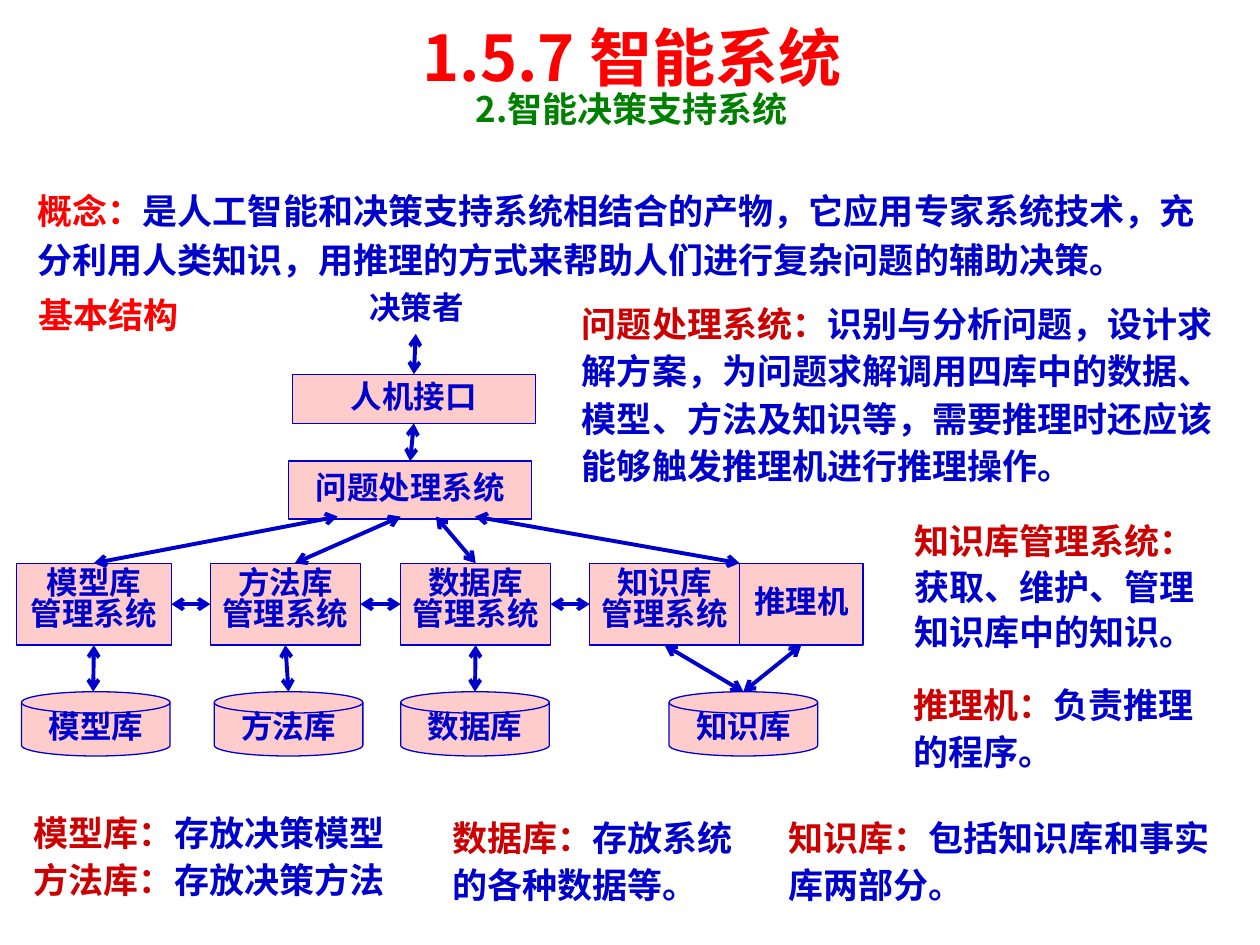
import pptx
import pptx.util
import pptx.dml.color
import pptx.enum.shapes
import pptx.enum.text
import pptx.oxml
import pptx.oxml.ns

Inches, Pt = pptx.util.Inches, pptx.util.Pt
RGBColor = pptx.dml.color.RGBColor
SHAPE = pptx.enum.shapes.MSO_SHAPE
ANCHOR = pptx.enum.text.MSO_ANCHOR
ALIGN = pptx.enum.text.PP_ALIGN
AUTO_SIZE = pptx.enum.text.MSO_AUTO_SIZE

RED = RGBColor(0xFF, 0x00, 0x00)
DARK_RED = RGBColor(0xCC, 0x00, 0x00)
BLUE = RGBColor(0x00, 0x00, 0xCC)
GREEN = RGBColor(0x00, 0x80, 0x00)
PINK = RGBColor(0xFF, 0xCC, 0xCC)

SANS = "Noto Sans CJK SC"
SERIF = "Times New Roman"
TIGHT = 0.83  # line spacing of text without a fixed pitch

# Rows and columns of the structure diagram, in inches
MANAGER_TOP, MANAGER_HEIGHT = 4.47, 0.65
MANAGER_BOTTOM = MANAGER_TOP + MANAGER_HEIGHT
STORE_TOP, STORE_WIDTH, STORE_HEIGHT = 5.49, 1.18, 0.51
SYSTEM_WIDTH, SYSTEM_BOTTOM = 1.93, 4.1
TOP, LEFT, BOTTOM, RIGHT = range(4)

# Name, left of manager, width of manager, left of store
LIBRARIES = [
    ("模型库", 0.13, 1.23, 0.17),
    ("方法库", 1.67, 1.19, 1.70),
    ("数据库", 3.18, 1.19, 3.18),
    ("知识库", 4.68, 1.19, 5.31),
]

# Left, top, width, height, line pitch, paragraphs of (term, explanation)
NOTES = [
    (4.52, 2.31, 5.28, 1.60, 27, [("问题处理系统：", "识别与分析问题，设计求解方案，为问题求解调用四库中的数据、模型、方法及知识等，需要推理时还应该能够触发推理机进行推理操作。")]),
    (7.16, 4.05, 2.64, 1.19, 26, [("知识库管理系统：", "获取、维护、管理知识库中的知识。")]),
    (7.15, 5.33, 2.64, 0.85, 27, [("推理机：", "负责推理的程序。")]),
    (6.16, 6.39, 3.64, 0.85, 27, [("知识库：", "包括知识库和事实库两部分。")]),
    (3.49, 6.39, 2.66, 0.85, 27, [("数据库：", "存放系统的各种数据等。")]),
    (0.17, 6.35, 3.08, 0.85, 27, [("模型库：", "存放决策模型"), ("方法库：", "存放决策方法")]),
]


def add_run(paragraph, text, size, color, name=SANS):
    run = paragraph.add_run()
    run.text = text
    run.font.size = Pt(size)
    run.font.bold = True
    run.font.color.rgb = color
    run.font.name = name
    east_asian = pptx.oxml.parse_xml(
        f'<a:ea {pptx.oxml.ns.nsdecls("a")} typeface="{SANS}"/>')
    run.font._element.find(pptx.oxml.ns.qn("a:latin")).addnext(east_asian)


def fill_frame(frame, paragraphs, spacing=TIGHT, align=None, wrap=True,
               anchor=ANCHOR.TOP):
    """Each paragraph is a list of argument tuples for add_run."""
    frame.word_wrap = wrap
    frame.vertical_anchor = anchor
    for index, runs in enumerate(paragraphs):
        paragraph = frame.add_paragraph() if index else frame.paragraphs[0]
        paragraph.alignment = align
        paragraph.line_spacing = spacing
        paragraph.space_before = Pt(0)
        for run in runs:
            add_run(paragraph, *run)


def add_text(slide, left, top, width, height, paragraphs, **format_options):
    box = slide.shapes.add_textbox(
        Inches(left), Inches(top), Inches(width), Inches(height))
    fill_frame(box.text_frame, paragraphs, **format_options)
    box.text_frame.auto_size = AUTO_SIZE.SHAPE_TO_FIT_TEXT


def add_node(slide, kind, left, top, width, height, *lines):
    node = slide.shapes.add_shape(
        kind, Inches(left), Inches(top), Inches(width), Inches(height))
    node.shadow.inherit = False
    node.fill.solid()
    node.fill.fore_color.rgb = PINK
    node.line.color.rgb = BLUE
    node.line.width = Pt(0.75)
    fill_frame(node.text_frame, [[(line, 18, BLUE)] for line in lines],
               align=ALIGN.CENTER, wrap=False,
               anchor=ANCHOR.TOP if len(lines) > 1 else ANCHOR.MIDDLE)
    return node


def add_arrow(slide, start, end):
    """Double arrow; an end is a point (x, y) or a joint (node, side)."""
    def is_joint(place):
        return hasattr(place[0], "shape_id")

    points = [(0, 0) if is_joint(place) else place for place in (start, end)]
    arrow = slide.shapes.add_connector(
        pptx.enum.shapes.MSO_CONNECTOR.STRAIGHT,
        *[Inches(value) for point in points for value in point])
    if is_joint(start):
        arrow.begin_connect(*start)
    if is_joint(end):
        arrow.end_connect(*end)
    arrow.line.color.rgb = BLUE
    arrow.line.width = Pt(2.25)
    namespace = pptx.oxml.ns.nsdecls("a")
    line = arrow.line._get_or_add_ln()
    for tag in ("headEnd", "tailEnd"):
        line.append(pptx.oxml.parse_xml(f'<a:{tag} {namespace} type="arrow"/>'))
    arrow._element.spPr.append(pptx.oxml.parse_xml(f"<a:effectLst {namespace}/>"))


def add_heading(slide):
    title = slide.shapes.title
    title.left, title.top = Inches(0.21), Inches(0.2)
    title.width, title.height = Inches(9.61), Inches(1.04)
    fill_frame(title.text_frame,
               [[("1.5.7 智能系统", 36, RED)],
                [("2.智能决策支持系统", 20, GREEN)]], align=ALIGN.CENTER)
    title.text_frame.auto_size = AUTO_SIZE.NONE


def add_diagram(slide):
    # Decision maker, interface and problem processing system
    add_text(slide, 2.34, 2.29, SYSTEM_WIDTH, 0.35, [[("决策者", 18, BLUE)]],
             align=ALIGN.CENTER, wrap=False)
    interface = add_node(slide, SHAPE.RECTANGLE, 2.32, 2.97, SYSTEM_WIDTH, 0.39,
                         "人机接口")
    system = add_node(slide, SHAPE.RECTANGLE, 2.29, 3.66, SYSTEM_WIDTH, 0.46,
                      "问题处理系统")

    # Managers with their stores
    managers = []
    for name, left, width, store_left in LIBRARIES:
        managers.append(add_node(slide, SHAPE.RECTANGLE, left, MANAGER_TOP, width,
                                 MANAGER_HEIGHT, name, "管理系统"))
        add_node(slide, SHAPE.FLOWCHART_MAGNETIC_DISK, store_left, STORE_TOP,
                 STORE_WIDTH, STORE_HEIGHT, name)
    engine = add_node(slide, SHAPE.RECTANGLE, 5.87, MANAGER_TOP, 0.98,
                      MANAGER_HEIGHT, "推理机")

    # Vertical chain
    add_arrow(slide, (3.3, 2.65), (interface, TOP))
    add_arrow(slide, (interface, BOTTOM), (system, TOP))

    # System to managers
    ends = [(managers[0], TOP), (2.34, MANAGER_TOP), (managers[2], TOP),
            (5.87, MANAGER_TOP)]
    for start_x, end in zip((2.68, 3.18, 3.46, 3.77), ends):
        add_arrow(slide, (start_x, SYSTEM_BOTTOM), end)

    # Manager to manager
    for manager, neighbour in zip(managers, managers[1:]):
        add_arrow(slide, (manager, RIGHT), (neighbour, LEFT))

    # Managers and engine to stores
    for owner, store_x in zip(managers + [engine], (0.74, 2.29, 3.77, 5.9, 5.9)):
        add_arrow(slide, (owner, BOTTOM), (store_x, STORE_TOP))


def main():
    presentation = pptx.Presentation()
    presentation.slide_width = Inches(10)
    presentation.slide_height = Inches(7.5)
    slide = presentation.slides.add_slide(presentation.slide_layouts[5])
    add_heading(slide)

    # Concept and structure label
    add_text(slide, 0.2, 1.4, 9.61, 0.88,
             [[("概念：", 20, RED, SERIF),
               ("是人工智能和决策支持系统相结合的产物，它应用专家系统技术，充分利用人类知识，用推理的方式来帮助人们进行复杂问题的辅助决策。", 20, BLUE)]],
             spacing=Pt(28))
    add_text(slide, 0.21, 2.34, 1.31, 0.44,
             [[("基本结构", 20, RED, SERIF)]], wrap=False)

    add_diagram(slide)

    # Explanations of the parts
    for left, top, width, height, pitch, entries in NOTES:
        add_text(slide, left, top, width, height,
                 [[(term, 20, DARK_RED), (explanation, 20, BLUE)]
                  for term, explanation in entries], spacing=Pt(pitch))

    presentation.save("out.pptx")


if __name__ == "__main__":
    main()
